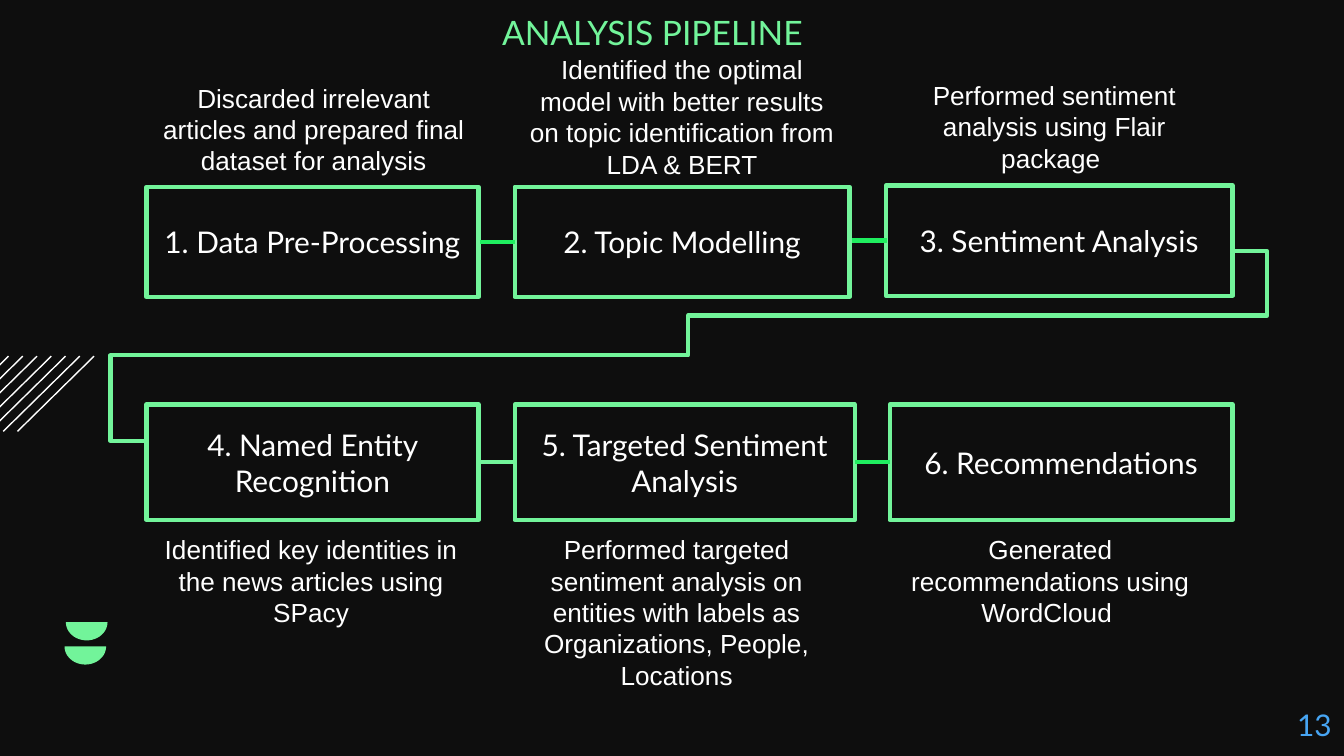
"""Build the analysis pipeline slide: six linked steps in two rows."""
from math import cos, pi, sin

from lxml.etree import SubElement
from pptx import Presentation
from pptx.dml.color import RGBColor
from pptx.enum.shapes import MSO_CONNECTOR, MSO_SHAPE
from pptx.enum.text import MSO_ANCHOR, MSO_AUTO_SIZE, PP_ALIGN
from pptx.oxml.ns import qn
from pptx.util import Inches, Pt

GREEN, BRIGHT, WHITE, BLUE = "72F49A", "1FEE5F", "FFFFFF", "47A5F3"
INSET = Inches(0.1)
FRAME = dict(word_wrap=True, vertical_anchor=MSO_ANCHOR.TOP, margin_left=INSET,
             margin_right=INSET, margin_top=INSET, margin_bottom=INSET)


def write(shape, text, color, font, frame):
    shape.text_frame.text = text
    paragraph = shape.text_frame.paragraphs[0]
    paragraph.alignment = PP_ALIGN.CENTER
    paragraph.font.color.rgb = RGBColor.from_string(color)
    for target, values in ((paragraph.font, font), (shape.text_frame, FRAME | frame)):
        for name, value in values.items():
            setattr(target, name, value)


def connect(kind, ends, color, width):
    link = slide.shapes.add_connector(kind, *map(Inches, ends))
    link.line.color.rgb = RGBColor.from_string(color)
    link.line.width = Pt(width)
    SubElement(link._element.spPr, qn("a:effectLst"))
    return link


deck = Presentation()
deck.slide_width = Inches(10)
deck.slide_height = deck.slide_width * 9 // 16
slide = deck.slides.add_slide(deck.slide_layouts[5])
slide.background.fill.solid()
slide.background.fill.fore_color.rgb = RGBColor.from_string("0E0E0E")

for left, top in ((0.48, 4.81), (0.49, 4.63)):
    arc = [(Inches(left + 0.155 * (1 + cos(pi * i / 24))),
            Inches(top + 0.135 * sin(pi * i / 24))) for i in range(25)]
    builder = slide.shapes.build_freeform(*arc[0])
    builder.add_line_segments(arc[1:], close=True)
    bowl = builder.convert_to_shape()
    bowl.shadow.inherit = False
    bowl.fill.solid()
    bowl.fill.fore_color.rgb = RGBColor.from_string(GREEN)
    bowl.line.fill.background()

for i in range(7):
    right = 0.7 - 0.106 * i
    connect(MSO_CONNECTOR.STRAIGHT, (right, 2.65, right - 0.57, 3.21), WHITE, 0.75)

title = slide.shapes.title
for name, value in dict(left=1.99, top=0.04, width=5.73, height=0.4).items():
    setattr(title, name, Inches(value))
write(title, "ANALYSIS PIPELINE", GREEN, dict(size=Pt(18), name="Lato"),
      dict(margin_top=Inches(0.05), margin_bottom=Inches(0.05),
           auto_size=MSO_AUTO_SIZE.SHAPE_TO_FIT_TEXT))

steps = [
    ("1. Data Pre-Processing", (1.09, 1.39, 2.47, 0.82), (1.08, 0.51),
     "Discarded irrelevant articles and prepared final dataset for analysis"),
    ("2. Topic Modelling", (3.83, 1.39, 2.49, 0.82), (3.82, 0.3),
     "Identified the optimal model with better results on topic identification from LDA & BERT"),
    ("3. Sentiment Analysis", (6.59, 1.38, 2.58, 0.82), (6.59, 0.49),
     "Performed sentiment analysis using Flair package "),
    ("4. Named Entity Recognition", (1.09, 3.01, 2.47, 0.86), (1.06, 3.87),
     "Identified key identities in the news articles using SPacy"),
    ("5. Targeted Sentiment Analysis", (3.83, 3.01, 2.53, 0.86), (3.78, 3.87),
     "Performed targeted sentiment analysis on entities with labels as "
     "Organizations, People, Locations"),
    ("6. Recommendations", (6.62, 3.01, 2.55, 0.86), (6.56, 3.87),
     "Generated recommendations using WordCloud "),
]
for step, area, corner, detail in steps:
    box = slide.shapes.add_shape(MSO_SHAPE.ROUNDED_RECTANGLE, *map(Inches, area))
    box.adjustments[0] = 0
    box.shadow.inherit = False
    box.fill.background()
    box.line.color.rgb = RGBColor.from_string(GREEN)
    box.line.width = Pt(2.25)
    write(box, step, WHITE, dict(size=Pt(16), name="Lato"),
          dict(vertical_anchor=MSO_ANCHOR.MIDDLE))
    caption = slide.shapes.add_textbox(*map(Inches, (*corner, 2.51, 0.82)))
    write(caption, detail, WHITE, dict(size=Pt(14), name="Arial"), {})

for left, y, color in ((3.57, 1.8, BRIGHT), (6.34, 1.79, BRIGHT),
                       (3.57, 3.44, GREEN), (6.36, 3.44, BRIGHT)):
    connect(MSO_CONNECTOR.STRAIGHT, (left, y, left + 0.26, y), color, 2.25)

for ends, turn, bends in (((9.17, 1.87, 5.12, 2.42), 0, (-6400, 86900)),
                          ((2.67, 0.83, 3.53, 4.87), 90, (26100, 106400))):
    wrap = connect(MSO_CONNECTOR.ELBOW, ends, GREEN, 2.25)
    wrap._element.spPr.find(qn("a:xfrm")).set("rot", str(turn * 60000))
    geometry = wrap._element.spPr.find(qn("a:prstGeom"))
    geometry.set("prst", "bentConnector4")
    guides = geometry.find(qn("a:avLst"))
    for number, bend in enumerate(bends, 1):
        SubElement(guides, qn("a:gd"), name=f"adj{number}", fmla=f"val {bend}")

page_number = slide.shapes.add_textbox(*map(Inches, (9.51, 5.26, 0.54, 0.37)))
write(page_number, "13", BLUE, dict(size=Pt(16), name="Lato"), dict(margin_top=0))

deck.save("out.pptx")
